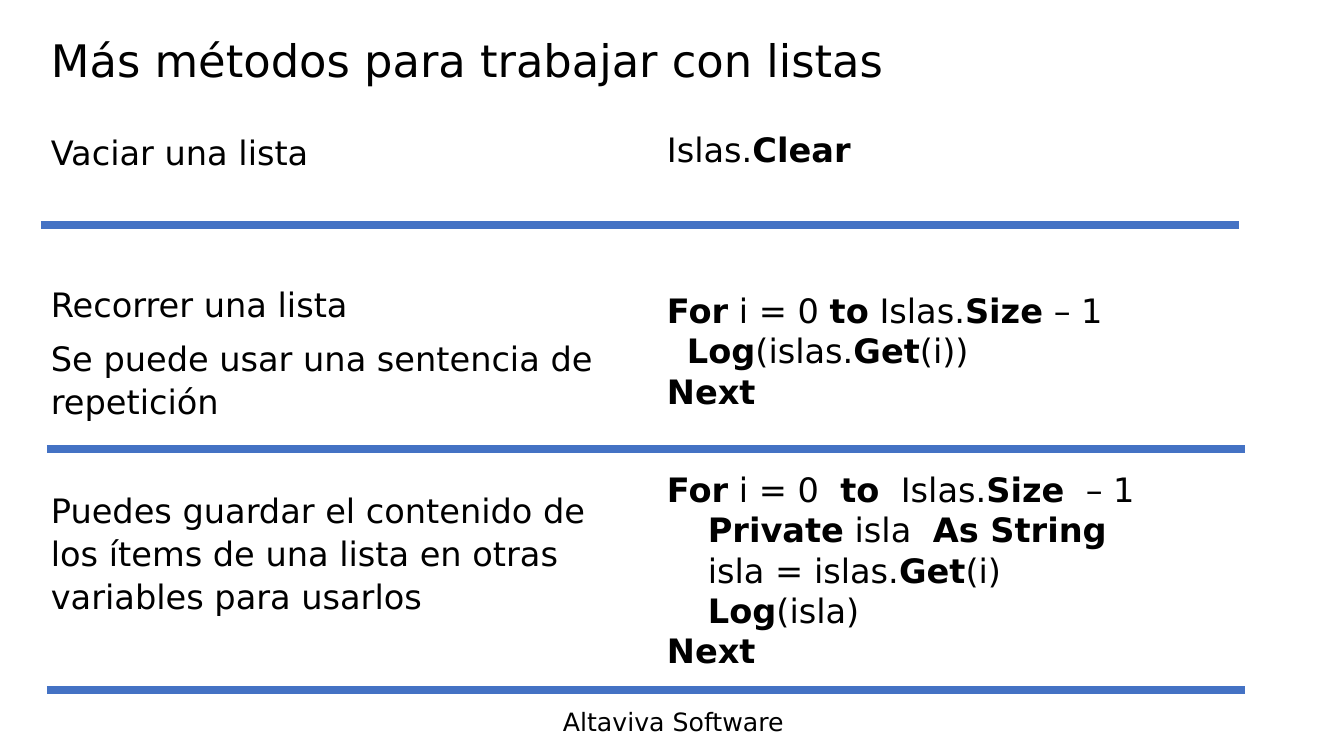
from dataclasses import dataclass

from lxml.etree import SubElement
from pptx import Presentation
from pptx.dml.color import RGBColor
from pptx.enum.shapes import MSO_CONNECTOR
from pptx.enum.text import MSO_ANCHOR
from pptx.oxml.ns import qn
from pptx.util import Emu, Pt

PX = 914400 / 100.8


@dataclass(frozen=True)
class Theme:
    """Colours, font and type sizes of the slide."""
    font: str = "DejaVu Sans"
    ink: RGBColor = RGBColor(0x00, 0x00, 0x00)
    rule: RGBColor = RGBColor(0x44, 0x72, 0xC4)
    title: int = 32
    body: int = 24
    footer: int = 18
    rule_width: int = 6


THEME = Theme()

TITLE = "Más métodos para trabajar con listas"
FOOTER = "Altaviva Software"

METHODS = [
    dict(box=(41, 124, 1198, 101), explanation_top=0, code_top=0,
         explanation=["Vaciar una lista"],
         code=[(0, "Islas.*Clear*")]),
    dict(box=(47, 276, 1198, 173), explanation_top=0, code_top=9,
         explanation=["Recorrer una lista",
                      "Se puede usar una sentencia de repetición"],
         code=[(0, "*For* i = 0 *to* Islas.*Size* – 1"),
               (20, "*Log*(islas.*Get*(i))"),
               (0, "*Next*")]),
    dict(box=(47, 464, 1198, 226), explanation_top=18, code_top=0,
         explanation=["Puedes guardar el contenido de los ítems de una lista "
                      "en otras variables para usarlos"],
         code=[(0, "*For* i = 0  *to*  Islas.*Size*  – 1"),
               (41, "*Private* isla  *As String*"),
               (41, "isla = islas.*Get*(i)"),
               (41, "*Log*(isla)"),
               (0, "*Next*")]),
]
EXPLANATION_LEFT, EXPLANATION_WIDTH = 41, 599
CODE_LEFT, CODE_WIDTH = 657, 672


def emu(pixels):
    """Turn pixels into EMU."""
    return Emu(round(pixels * PX))


def add_text(slide, box, lines, size, line_spacing=1.0, space_after=0,
             anchor=MSO_ANCHOR.TOP):
    """Write (indent, text) lines in a box, with asterisks around bold parts."""
    frame = slide.shapes.add_textbox(*map(emu, box)).text_frame
    frame.word_wrap = True
    frame.vertical_anchor = anchor
    for number, (indent, line) in enumerate(lines):
        paragraph = frame.add_paragraph() if number else frame.paragraphs[0]
        paragraph.line_spacing = line_spacing
        paragraph.space_after = Pt(space_after)
        paragraph.font.name = THEME.font
        paragraph.font.size = Pt(size)
        paragraph.font.color.rgb = THEME.ink
        if indent:
            paragraph._p.get_or_add_pPr().set("marL", str(emu(indent)))
        for position, part in enumerate(line.split("*")):
            if part:
                run = paragraph.add_run()
                run.text = part
                if position % 2:
                    run.font.bold = True


def add_rule(slide, left, y, width):
    """Draw the horizontal rule that closes a method."""
    rule = slide.shapes.add_connector(
        MSO_CONNECTOR.STRAIGHT, emu(left), emu(y), emu(left + width), emu(y))
    rule.line.color.rgb = THEME.rule
    rule.line.width = Pt(THEME.rule_width)
    SubElement(rule._element.spPr, qn("a:effectLst"))


def add_title(slide, box):
    """Place the slide title."""
    add_text(slide, box, [(0, TITLE)], THEME.title, line_spacing=0.9,
             anchor=MSO_ANCHOR.MIDDLE)


def add_method(slide, box, explanation_top, code_top, explanation, code):
    """Place an explanation beside its code, above a closing rule."""
    left, top, width, height = box
    add_text(slide, (EXPLANATION_LEFT, top + explanation_top,
                     EXPLANATION_WIDTH, height - explanation_top),
             [(0, line) for line in explanation], THEME.body,
             line_spacing=1.07, space_after=8)
    add_text(slide, (CODE_LEFT, top + code_top, CODE_WIDTH, height - code_top),
             code, THEME.body)
    add_rule(slide, left, top + height, width)


def add_footer(slide, box):
    """Place the footer."""
    add_text(slide, box, [(0, FOOTER)], THEME.footer)


def main():
    """Build and save the slide."""
    deck = Presentation()
    deck.slide_width, deck.slide_height = emu(1344), emu(756)
    slide = deck.slides.add_slide(deck.slide_layouts[6])
    add_title(slide, (41, 15, 1211, 96))
    for method in METHODS:
        add_method(slide, **method)
    add_footer(slide, (553, 701, 292, 40))
    deck.save("out.pptx")


main()
